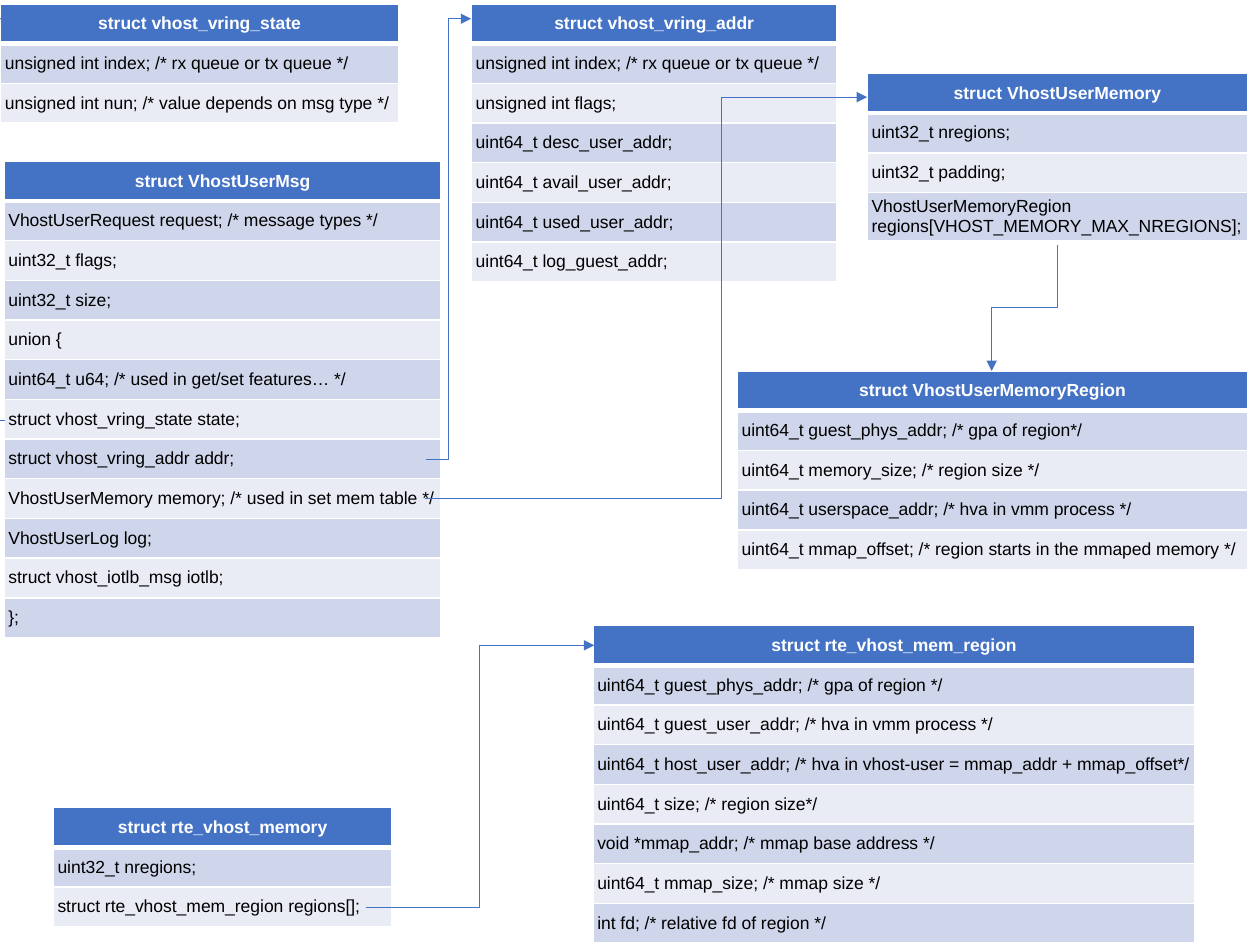
import pptx
import pptx.dml.color
import pptx.enum.shapes
import pptx.enum.text
import pptx.oxml
import pptx.oxml.ns
import pptx.util
from dataclasses import dataclass
from lxml import etree

Cm = pptx.util.Cm
Pt = pptx.util.Pt
qn = pptx.oxml.ns.qn


@dataclass(frozen=True)
class Theme:
    header: str = "4472C4"
    bands: tuple = ("CFD5EA", "E9EBF5")
    header_text: str = "FFFFFF"
    field_text: str = "000000"
    rule: str = "FFFFFF"
    font: str = "Arial"
    size: float = 10
    line_width: float = 0.5
    rule_width: float = 3


THEME = Theme()
ROW_HEIGHT = 0.8
CELL_MARGIN = 0.09

STRUCTS = [
    ("struct VhostUserMsg", (0.08, 3.25, 8.81), [
        "VhostUserRequest request; /* message types */",
        "uint32_t flags;",
        "uint32_t size;",
        "union {",
        "uint64_t u64; /* used in get/set features… */",
        "struct vhost_vring_state state;",
        "struct vhost_vring_addr addr;",
        "VhostUserMemory memory; /* used in set mem table */",
        "VhostUserLog log;",
        "struct vhost_iotlb_msg iotlb;",
        "};",
    ]),
    ("struct VhostUserMemoryRegion", (14.86, 7.48, 10.29), [
        "uint64_t guest_phys_addr; /* gpa of region*/",
        "uint64_t memory_size; /* region size */",
        "uint64_t userspace_addr; /* hva in vmm process */",
        "uint64_t mmap_offset; /* region starts in the mmaped memory */",
    ]),
    ("struct rte_vhost_mem_region", (11.95, 12.61, 12.14), [
        "uint64_t guest_phys_addr; /* gpa of region */",
        "uint64_t guest_user_addr; /* hva in vmm process */",
        "uint64_t host_user_addr; /* hva in vhost-user = mmap_addr + mmap_offset*/",
        "uint64_t size; /* region size*/",
        "void *mmap_addr; /* mmap base address */",
        "uint64_t mmap_size; /* mmap size */",
        "int fd; /* relative fd of region */",
    ]),
    ("struct rte_vhost_memory", (1.07, 16.28, 6.83), [
        "uint32_t nregions;",
        "struct rte_vhost_mem_region regions[];",
    ]),
    ("struct VhostUserMemory", (17.48, 1.48, 7.67), [
        "uint32_t nregions;",
        "uint32_t padding;",
        "VhostUserMemoryRegion regions[VHOST_MEMORY_MAX_NREGIONS];",
    ]),
    ("struct vhost_vring_state", (0.01, 0.08, 8.02), [
        "unsigned int index; /* rx queue or tx queue */",
        "unsigned int nun; /* value depends on msg type */",
    ]),
    ("struct vhost_vring_addr", (9.5, 0.08, 7.37), [
        "unsigned int index; /* rx queue or tx queue */",
        "unsigned int flags;",
        "uint64_t desc_user_addr;",
        "uint64_t avail_user_addr;",
        "uint64_t used_user_addr;",
        "uint64_t log_guest_addr;",
    ]),
]

REFERENCES = [
    {"start": (21.31, 4.93), "end": (19.99, 7.48), "downward": True},
    {"start": (7.37, 18.29), "end": (11.98, 13.01)},
    {"start": (0.1, 8.48), "end": (0.03, 0.38), "bend": 10.89},
    {"start": (8.59, 9.27), "end": (9.5, 0.38)},
    {"start": (8.56, 10.06), "end": (17.48, 1.96), "bend": 0.67},
]


def rgb(value):
    return pptx.dml.color.RGBColor.from_string(value)


def fill_cell(cell, wording, background, color, is_header):
    cell.fill.solid()
    cell.fill.fore_color.rgb = rgb(background)
    cell.vertical_anchor = pptx.enum.text.MSO_ANCHOR.MIDDLE
    cell.margin_left = cell.margin_right = Cm(CELL_MARGIN)
    cell.margin_top = cell.margin_bottom = Cm(CELL_MARGIN)
    paragraph = cell.text_frame.paragraphs[0]
    if is_header:
        paragraph.alignment = pptx.enum.text.PP_ALIGN.CENTER
    run = paragraph.add_run()
    run.text = wording
    run.font.name = THEME.font
    run.font.size = Pt(THEME.size)
    run.font.bold = is_header
    run.font.color.rgb = rgb(color)


def underline_header(cell):
    rule = etree.Element(qn("a:lnB"), w=str(Pt(THEME.rule_width)))
    paint = etree.SubElement(rule, qn("a:solidFill"))
    etree.SubElement(paint, qn("a:srgbClr"), val=THEME.rule)
    cell._tc.tcPr.insert(0, rule)


def add_struct(slide, heading, place, fields):
    left, top, width = place
    count = len(fields) + 1
    struct = slide.shapes.add_table(
        count, 1, Cm(left), Cm(top), Cm(width), Cm(ROW_HEIGHT * count)).table
    for row in struct.rows:
        row.height = Cm(ROW_HEIGHT)
    header = struct.cell(0, 0)
    fill_cell(header, heading, THEME.header, THEME.header_text, True)
    underline_header(header)
    for index, field in enumerate(fields):
        band = THEME.bands[index % len(THEME.bands)]
        fill_cell(struct.cell(index + 1, 0), field, band, THEME.field_text, False)


def add_reference(slide, start, end, bend=0.5, downward=False):
    if downward:
        middle_x, middle_y = (start[0] + end[0]) / 2, (start[1] + end[1]) / 2
        half_run, half_rise = (end[1] - start[1]) / 2, (start[0] - end[0]) / 2
        start = (middle_x - half_run, middle_y - half_rise)
        end = (middle_x + half_run, middle_y + half_rise)
    reference = slide.shapes.add_connector(
        pptx.enum.shapes.MSO_CONNECTOR.ELBOW, *map(Cm, start + end))
    reference.line.color.rgb = rgb(THEME.header)
    reference.line.width = Pt(THEME.line_width)
    properties = reference._element.spPr
    if downward:
        properties.find(qn("a:xfrm")).set("rot", "5400000")
    guides = properties.find(qn("a:prstGeom")).find(qn("a:avLst"))
    etree.SubElement(guides, qn("a:gd"), name="adj1", fmla=f"val {round(bend * 100000)}")
    etree.SubElement(properties.find(qn("a:ln")), qn("a:tailEnd"), type="triangle")
    etree.SubElement(properties, qn("a:effectLst"))


def main():
    deck = pptx.Presentation()
    deck.slide_width, deck.slide_height = Cm(25.4), Cm(19.05)
    slide = deck.slides.add_slide(deck.slide_layouts.get_by_name("Blank"))
    for heading, place, fields in STRUCTS:
        add_struct(slide, heading, place, fields)
    for reference in REFERENCES:
        add_reference(slide, **reference)
    deck.save("out.pptx")


if __name__ == "__main__":
    main()
